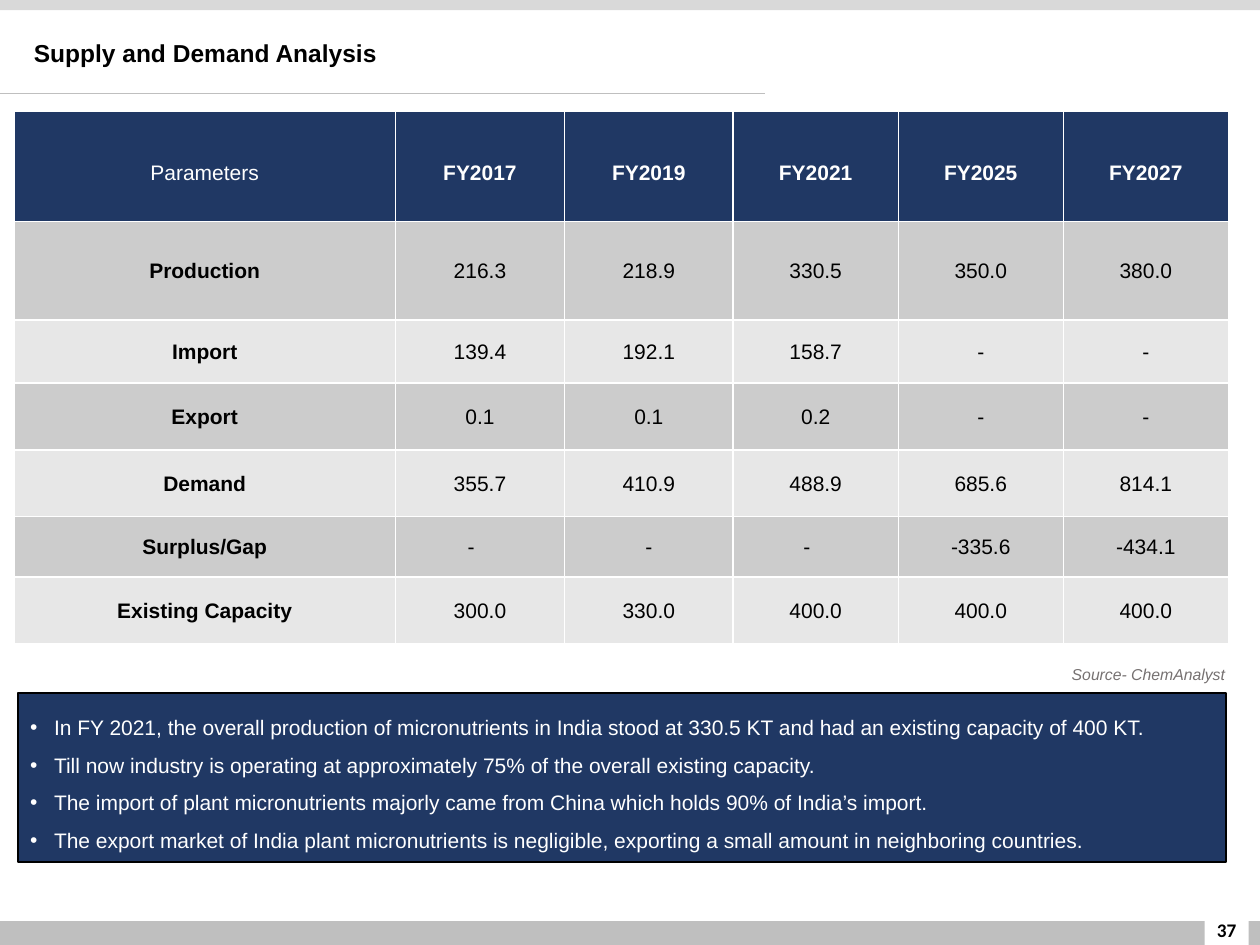
from dataclasses import dataclass

from lxml.etree import SubElement
from pptx import Presentation
from pptx.dml.color import RGBColor
from pptx.enum.shapes import MSO_CONNECTOR as Conn, MSO_SHAPE as Shape
from pptx.enum.text import MSO_ANCHOR as Anchor, PP_ALIGN as Align
from pptx.oxml.ns import qn
from pptx.util import Inches, Pt

TITLE = "Supply and Demand Analysis"
SOURCE = "Source- ChemAnalyst"
PAGE = "37"
HEAD = ["Parameters", "FY2017", "FY2019", "FY2021", "FY2025", "FY2027"]
ROWS = [
    ["Production", "216.3", "218.9", "330.5", "350.0", "380.0"],
    ["Import", "139.4", "192.1", "158.7", "-", "-"],
    ["Export", "0.1", "0.1", "0.2", "-", "-"],
    ["Demand", "355.7", "410.9", "488.9", "685.6", "814.1"],
    ["Surplus/Gap", "-", "-", "-", "-335.6", "-434.1"],
    ["Existing Capacity", "300.0", "330.0", "400.0", "400.0", "400.0"],
]
NOTES = [
    "In FY 2021, the overall production of micronutrients in India stood at "
    "330.5 KT and had an existing capacity of 400 KT.",
    "Till now industry is operating at approximately 75% of the overall "
    "existing capacity.",
    "The import of plant micronutrients majorly came from China which holds "
    "90% of India’s import.",
    "The export market of India plant micronutrients is negligible, exporting "
    "a small amount in neighboring countries.",
]
WIDTHS = [3.03, 1.34, 1.34, 1.31, 1.31, 1.31]
HEIGHTS = [0.88, 0.78, 0.5, 0.53, 0.53, 0.48, 0.53]


@dataclass(frozen=True)
class Theme:
    navy: str = "203864"
    white: str = "FFFFFF"
    black: str = "000000"
    foot: str = "BFBFBF"
    top: str = "D9D9D9"
    note: str = "767171"
    bands: tuple = ("CCCCCC", "E7E7E7")
    font: str = "Arial"
    num_font: str = "Calibri"
    title: int = 14
    body: int = 12
    page: int = 11
    small: int = 9


T = Theme()


def rgb(code):
    return RGBColor.from_string(code)


def write(frame, lines, size=T.body, color=T.black, font=T.font, bold=False,
          italic=False, align=Align.LEFT, gap=1.0, bullet=False):
    frame.word_wrap = True
    for i, line in enumerate(lines):
        para = frame.add_paragraph() if i else frame.paragraphs[0]
        if bullet:
            props = para._p.get_or_add_pPr()
            props.set("marL", str(Inches(0.19)))
            props.set("indent", str(-Inches(0.19)))
            SubElement(props, qn("a:buFont"), typeface=T.font)
            SubElement(props, qn("a:buChar"), char="•")
        para.alignment, para.line_spacing = align, gap
        run = para.add_run()
        run.text = line
        face = run.font
        face.name, face.size = font, Pt(size)
        face.bold, face.italic = bold, italic
        face.color.rgb = rgb(color)


def add_bar(slide, area, fill, line=None):
    bar = slide.shapes.add_shape(Shape.RECTANGLE, *map(Inches, area))
    bar.shadow.inherit = False
    bar.fill.solid()
    bar.fill.fore_color.rgb = rgb(fill)
    if line:
        bar.line.color.rgb = rgb(line)
        bar.line.width = Pt(1)
    else:
        bar.line.fill.background()
    return bar


def add_text(slide, area, text, anchor=Anchor.MIDDLE, **form):
    frame = slide.shapes.add_textbox(*map(Inches, area)).text_frame
    frame.vertical_anchor = anchor
    write(frame, [text], **form)


def add_rule(slide, start, end):
    rule = slide.shapes.add_connector(
        Conn.STRAIGHT, *map(Inches, (*start, *end)))
    rule.line.color.rgb = rgb(T.foot)
    rule.line.width = Pt(0.5)
    SubElement(rule._element.spPr, qn("a:effectLst"))


def add_grid(slide, left, top):
    grid = slide.shapes.add_table(
        len(HEIGHTS), len(WIDTHS), Inches(left), Inches(top),
        Inches(sum(WIDTHS)), Inches(sum(HEIGHTS))).table
    for col, width in zip(grid.columns, WIDTHS):
        col.width = Inches(width)
    for row, height in zip(grid.rows, HEIGHTS):
        row.height = Inches(height)
    for r, row in enumerate([HEAD, *ROWS]):
        for c, text in enumerate(row):
            cell, head = grid.cell(r, c), r == 0
            cell.fill.solid()
            cell.fill.fore_color.rgb = rgb(
                T.navy if head else T.bands[(r - 1) % 2])
            cell.vertical_anchor = Anchor.MIDDLE
            cell.margin_left = cell.margin_right = Inches(0.01)
            cell.margin_top, cell.margin_bottom = Inches(0.01), 0
            # The gap dashes for FY2017 and FY2021 sit left of centre.
            if row[0] == "Surplus/Gap" and HEAD[c] in ("FY2017", "FY2021"):
                cell.margin_right = Inches(0.15)
            write(cell.text_frame, [text], align=Align.CENTER,
                  color=T.white if head else T.black,
                  bold=head != (c == 0), gap=1.5 if head else 1.0)


def main():
    deck = Presentation()
    deck.slide_width, deck.slide_height = Inches(10), Inches(7.5)
    slide = deck.slides.add_slide(deck.slide_layouts[6])

    add_bar(slide, (-0.04, 7.31, 10.05, 0.19), T.foot)
    add_bar(slide, (0, 0, 10.02, 0.08), T.top)
    add_bar(slide, (9.56, 7.13, 0.35, 0.38), T.white)
    add_text(slide, (9.49, 7.18, 0.49, 0.4), PAGE, size=T.page,
             font=T.num_font, bold=True, align=Align.CENTER)
    add_rule(slide, (0, 0.74), (6.07, 0.74))
    add_text(slide, (0.17, 0.18, 8.01, 0.5), TITLE, size=T.title,
             bold=True, gap=0.9)

    add_grid(slide, 0.11, 0.88)

    panel = add_bar(slide, (0.14, 5.5, 9.59, 1.34), T.navy, T.black)
    panel.text_frame.vertical_anchor = Anchor.MIDDLE
    write(panel.text_frame, NOTES, color=T.white, align=Align.JUSTIFY,
          gap=1.5, bullet=True)
    add_text(slide, (7.79, 5.23, 2.03, 0.25), SOURCE, anchor=Anchor.TOP,
             size=T.small, color=T.note, italic=True, align=Align.RIGHT)

    deck.save("out.pptx")


if __name__ == "__main__":
    main()
